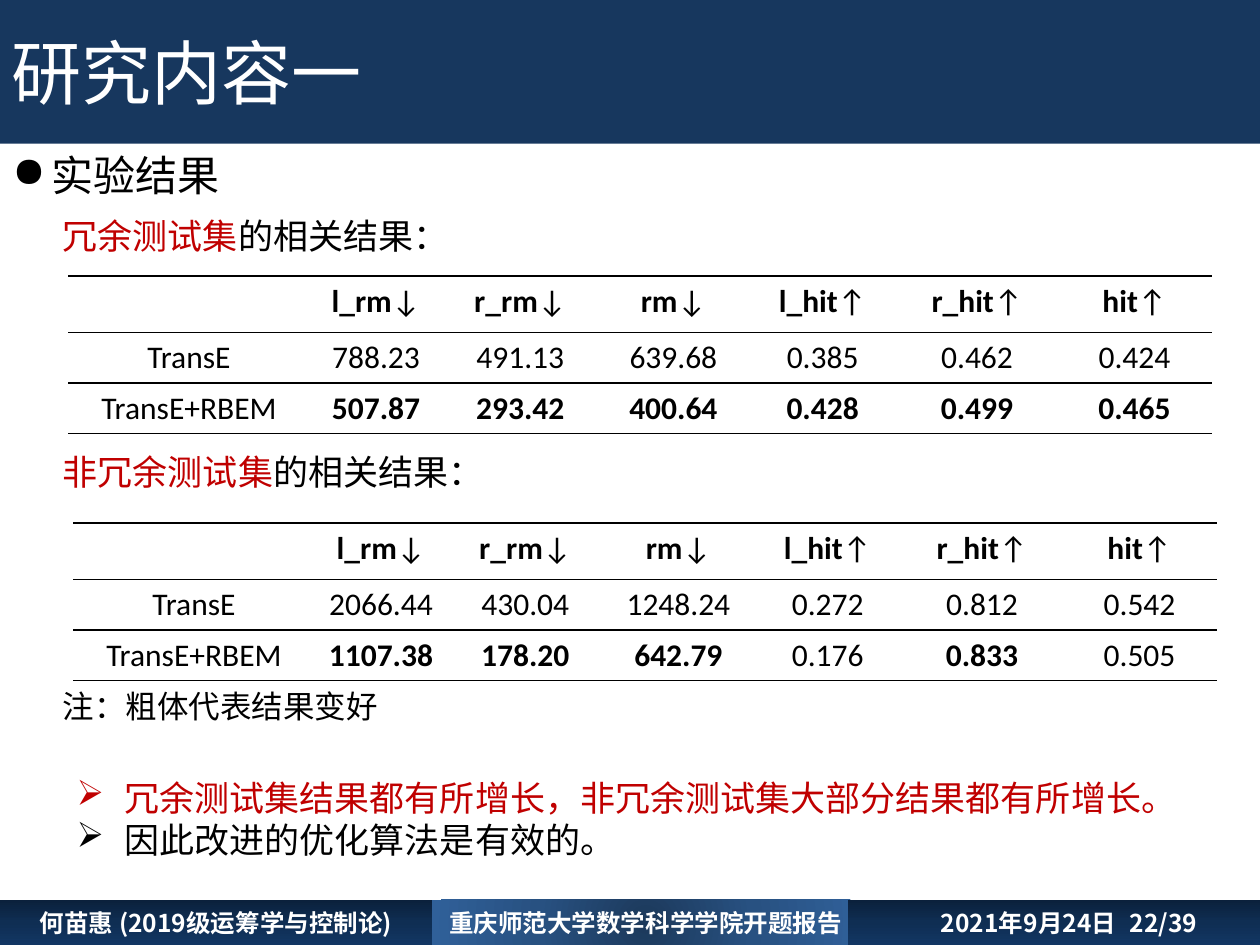
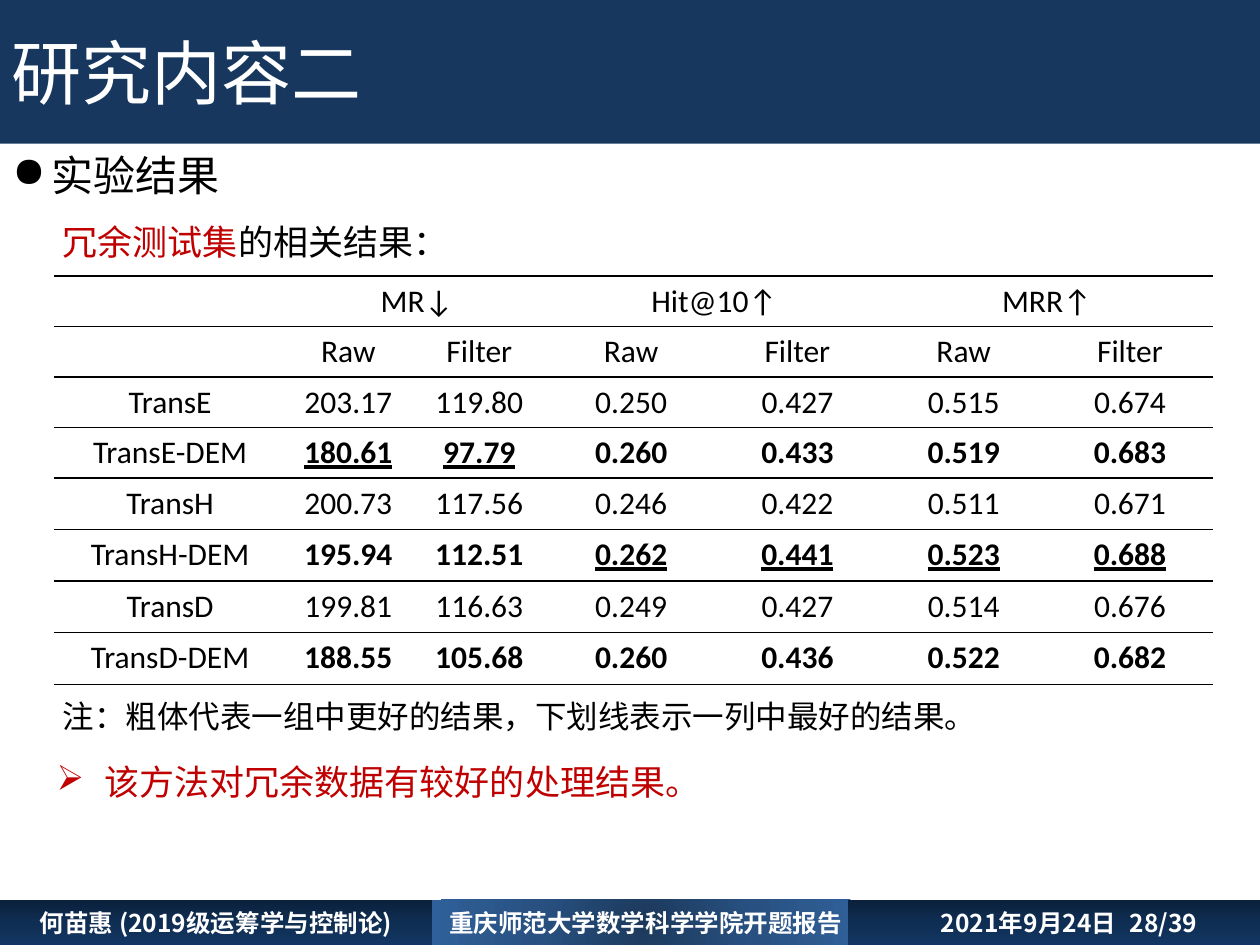
"""Builds two result slides of a thesis proposal talk."""
from dataclasses import dataclass

from lxml import etree
from pptx import Presentation
from pptx.dml.color import RGBColor
from pptx.enum.shapes import MSO_SHAPE
from pptx.enum.text import MSO_ANCHOR, PP_ALIGN
from pptx.oxml import parse_xml
from pptx.oxml.ns import nsdecls, qn
from pptx.slide import Slide
from pptx.util import Inches, Pt

LEFT, CENTER = PP_ALIGN.LEFT, PP_ALIGN.CENTER
MIDDLE = MSO_ANCHOR.MIDDLE
RECT = MSO_SHAPE.RECTANGLE

NAVY = RGBColor(0x17, 0x37, 0x5E)
WHITE = RGBColor(0xFF, 0xFF, 0xFF)
BLACK = RGBColor(0x00, 0x00, 0x00)
RED = RGBColor(0xC0, 0x00, 0x00)
DARK_STOPS = (RGBColor(0x0B, 0x20, 0x3B), RGBColor(0x0F, 0x2E, 0x53),
              RGBColor(0x12, 0x36, 0x63))
LIGHT_STOPS = (RGBColor(0x1C, 0x39, 0x5B), RGBColor(0x28, 0x51, 0x81),
               RGBColor(0x30, 0x60, 0x99))
LINEAR = '<a:lin ang="5400000" scaled="0"/>'
RADIAL = ('<a:path path="circle"><a:fillToRect l="50000" t="50000" '
          'r="50000" b="50000"/></a:path>')

CJK, LATIN = "Noto Sans CJK SC", "Calibri"
WIDTH, HEIGHT = Inches(10), Inches(7.5)
COLS, ROWS = 100, 75
FOOTER_ROW, FOOTER_ROWS = 71.4, 3.6
MARKS = {"*": (True, False), "_": (True, True)}


@dataclass(frozen=True)
class Box:
    """A place on the slide grid."""
    col: float
    row: float
    cols: float
    rows: float

    def emu(self) -> tuple[int, int, int, int]:
        """Return left, top, width and height."""
        return x(self.col), y(self.row), x(self.cols), y(self.rows)


@dataclass(frozen=True)
class Run:
    """A stretch of evenly formatted text."""
    text: str
    color: RGBColor = BLACK
    bold: bool = False
    underline: bool = False


@dataclass(frozen=True)
class TextBlock:
    """A text box with one tuple of runs per paragraph."""
    box: Box
    size: int
    paragraphs: tuple[tuple[Run, ...], ...]
    bullet: str = ""
    indent: float = 0


@dataclass(frozen=True)
class Grid:
    """A ruled table whose cells mark bold with * and bold underline with _."""
    col: float
    row: float
    widths: tuple[float, ...]
    heights: tuple[float, ...]
    lines: tuple[str, ...]
    merges: tuple[tuple[int, int], ...] = ()


@dataclass(frozen=True)
class Band:
    """One gradient section of the footer."""
    col: float
    cols: float
    stops: tuple[RGBColor, ...]
    direction: str
    text: str


@dataclass(frozen=True)
class Page:
    """The content of one slide."""
    title: str
    number: str
    blocks: tuple[TextBlock, ...]
    grids: tuple[Grid, ...]


def x(cols: float) -> int:
    """Convert grid columns to a length."""
    return round(WIDTH * cols / COLS)


def y(rows: float) -> int:
    """Convert grid rows to a length."""
    return round(HEIGHT * rows / ROWS)


def add_run(p, run: Run, size: int, font: str = CJK) -> None:
    """Append a formatted run to a paragraph."""
    r = p.add_run()
    r.text = run.text
    r.font.size, r.font.name = Pt(size), font
    r.font.bold, r.font.underline = run.bold, run.underline
    r.font.color.rgb = run.color
    latin = r.font._element.find(qn("a:latin"))
    latin.addnext(parse_xml(f'<a:ea {nsdecls("a")} typeface="{font}"/>'))


def set_margin(p, cols: float, hanging: bool) -> None:
    """Set the left margin and first-line indent of a paragraph."""
    p_pr = p._p.get_or_add_pPr()
    p_pr.set("marL", str(x(cols)))
    p_pr.set("indent", str(-x(cols) if hanging else 0))


def add_title(s: Slide, text: str) -> None:
    """Turn the title placeholder into the top band."""
    sp = s.shapes.title
    sp.left, sp.top, sp.width, sp.height = Box(-0.1, -0.1, 100.1, 11.5).emu()
    sp.fill.solid()
    sp.fill.fore_color.rgb = NAVY
    tf = sp.text_frame
    tf.vertical_anchor = MIDDLE
    p = tf.paragraphs[0]
    p.alignment = LEFT
    add_run(p, Run(text, WHITE), 40)


def add_band(s: Slide, band: Band):
    """Draw a footer section and return its paragraph."""
    box = Box(band.col, FOOTER_ROW, band.cols, FOOTER_ROWS)
    sp = s.shapes.add_shape(RECT, *box.emu())
    sp.shadow.inherit = False
    sp.line.fill.background()
    sp.fill.background()
    stops = "".join(f'<a:gs pos="{i * 50000}"><a:srgbClr val="{c}"/></a:gs>'
                    for i, c in enumerate(band.stops))
    sp_pr = sp._element.spPr
    sp_pr.replace(sp_pr.find(qn("a:noFill")), parse_xml(
        f'<a:gradFill {nsdecls("a")} rotWithShape="1"><a:gsLst>{stops}'
        f'</a:gsLst>{band.direction}</a:gradFill>'))
    tf = sp.text_frame
    tf.word_wrap, tf.vertical_anchor = True, MIDDLE
    p = tf.paragraphs[0]
    p.alignment = CENTER
    add_run(p, Run(band.text, WHITE, bold=True), 14)
    return p


def add_footer(s: Slide, number: str) -> None:
    """Draw the footer with the date and page number in its last section."""
    for band in FOOTER:
        p = add_band(s, band)
    p.alignment = LEFT
    set_margin(p, 6.4, hanging=False)
    tabs = etree.SubElement(p._p.get_or_add_pPr(), qn("a:tabLst"))
    etree.SubElement(tabs, qn("a:tab"), pos=str(x(30.6)), algn="r")
    add_run(p, Run("\t" + number, WHITE, bold=True), 14)


def add_block(s: Slide, block: TextBlock) -> None:
    """Draw a text box, bulleted where asked."""
    tf = s.shapes.add_textbox(*block.box.emu()).text_frame
    tf.word_wrap = True
    for i, runs in enumerate(block.paragraphs):
        p = tf.add_paragraph() if i else tf.paragraphs[0]
        if block.bullet:
            set_margin(p, block.indent, hanging=True)
            etree.SubElement(p._p.get_or_add_pPr(), qn("a:buChar"),
                             char=block.bullet)
        for run in runs:
            add_run(p, run, block.size)


def rule_cell(cell) -> None:
    """Fill a cell white and rule it above and below only."""
    cell.fill.solid()
    cell.fill.fore_color.rgb = WHITE
    ink = f'<a:solidFill><a:srgbClr val="{BLACK}"/></a:solidFill>'
    sides = {"L": "<a:noFill/>", "R": "<a:noFill/>", "T": ink, "B": ink}
    for i, (side, paint) in enumerate(sides.items()):
        cell._tc.get_or_add_tcPr().insert(i, parse_xml(
            f'<a:ln{side} {nsdecls("a")} w="{Pt(1)}">{paint}</a:ln{side}>'))


def add_grid(s: Slide, grid: Grid) -> None:
    """Draw a table with horizontal rules."""
    box = Box(grid.col, grid.row, sum(grid.widths), sum(grid.heights))
    table = s.shapes.add_table(len(grid.heights), len(grid.widths),
                               *box.emu()).table
    table.first_row = table.horz_banding = False
    for column, width in zip(table.columns, grid.widths):
        column.width = x(width)
    for row, height, line in zip(table.rows, grid.heights, grid.lines):
        row.height = y(height)
        for cell, value in zip(row.cells, line.split(",")):
            rule_cell(cell)
            p = cell.text_frame.paragraphs[0]
            p.alignment = CENTER
            for part in filter(None, value.split("|")):
                bold, underline = MARKS.get(part[0], (False, False))
                text = part[1:] if bold else part
                add_run(p, Run(text, BLACK, bold, underline), 18, LATIN)
    for row, col in grid.merges:
        table.cell(row, col).merge(table.cell(row, col + 1))


def heading() -> TextBlock:
    """Return the bulleted section heading."""
    return TextBlock(Box(0, 11.4, 92.9, 5), 24, ((Run("实验结果"),),), "●", 3.1)


def caption(row: float, subject: str) -> TextBlock:
    """Return a table caption with its subject in red."""
    return TextBlock(Box(4, row, 59.9, 4.4), 20,
                     ((Run(subject, RED), Run("的相关结果：")),))


def note(row: float, text: str) -> TextBlock:
    """Return a note below a table."""
    return TextBlock(Box(4, row, 92, 4), 18, ((Run(text),),))


def findings(col: float, row: float, *runs: Run) -> TextBlock:
    """Return arrow-bulleted conclusions."""
    return TextBlock(Box(col, row, 90.8, 0.5 + 3.6 * len(runs)), 20,
                     tuple((run,) for run in runs), "➢", 3.8)


def rank_grid(col: float, row: float, *lines: str) -> Grid:
    """Return a comparison of ranks and hits for two methods."""
    header = ",*l_rm|↓,*r_rm|↓,*rm|↓,*l_hit|↑,*r_hit|↑,*hit|↑"
    return Grid(col, row, (19.2, 10.5, 12.4, 11.9, 11.8, 12.7, 12.3),
                (4.5, 4, 4), (header, *lines))


FOOTER = (
    Band(0, 34.3, DARK_STOPS, LINEAR, "何苗惠 (2019级运筹学与控制论)"),
    Band(34.3, 33.9, LIGHT_STOPS, RADIAL, "重庆师范大学数学科学学院开题报告"),
    Band(67.3, 32.7, DARK_STOPS, LINEAR, "2021年9月24日"),
)

PAGES = (
    Page("研究内容一", "22/39", (
        heading(),
        caption(16.5, "冗余测试集"),
        caption(35.3, "非冗余测试集"),
        note(54, "注：粗体代表结果变好"),
        findings(5.1, 61.1,
                 Run("冗余测试集结果都有所增长，非冗余测试集大部分结果都有所增长。", RED),
                 Run("因此改进的优化算法是有效的。")),
    ), (
        rank_grid(5.4, 21.9,
                  "TransE,788.23,491.13,639.68,0.385,0.462,0.424",
                  "TransE+RBEM,*507.87,*293.42,*400.64,*0.428,*0.499,*0.465"),
        rank_grid(5.8, 41.5,
                  "TransE,2066.44,430.04,1248.24,0.272,0.812,0.542",
                  "TransE+RBEM,*1107.38,*178.20,*642.79,0.176,*0.833,0.505"),
    )),
    Page("研究内容二", "28/39", (
        heading(),
        caption(17, "冗余测试集"),
        note(54.8, "注：粗体代表一组中更好的结果，下划线表示一列中最好的结果。"),
        findings(3.5, 59.9, Run("该方法对冗余数据有较好的处理结果。", RED)),
    ), (
        Grid(4.3, 21.9, (18.4, 9.9, 10.9) + (13.2,) * 4, (4,) * 4 + (4.1,) * 4, (
            ",MR↓,,Hit@10↑,,MRR↑,",
            ",Raw,Filter,Raw,Filter,Raw,Filter",
            "TransE,203.17,119.80,0.250,0.427,0.515,0.674",
            "TransE-DEM,_180.61,_97.79,*0.260,*0.433,*0.519,*0.683",
            "TransH,200.73,117.56,0.246,0.422,0.511,0.671",
            "TransH-DEM,*195.94,*112.51,_0.262,_0.441,_0.523,_0.688",
            "TransD,199.81,116.63,0.249,0.427,0.514,0.676",
            "TransD-DEM,*188.55,*105.68,*0.260,*0.436,*0.522,*0.682",
        ), ((0, 1), (0, 3), (0, 5))),
    )),
)


def main() -> None:
    """Build and save the slides."""
    prs = Presentation()
    prs.slide_width, prs.slide_height = WIDTH, HEIGHT
    title_only = prs.slide_layouts.get_by_name("Title Only")
    for page in PAGES:
        s = prs.slides.add_slide(title_only)
        add_title(s, page.title)
        add_footer(s, page.number)
        for block in page.blocks:
            add_block(s, block)
        for grid in page.grids:
            add_grid(s, grid)
    prs.save("out.pptx")


if __name__ == "__main__":
    main()
